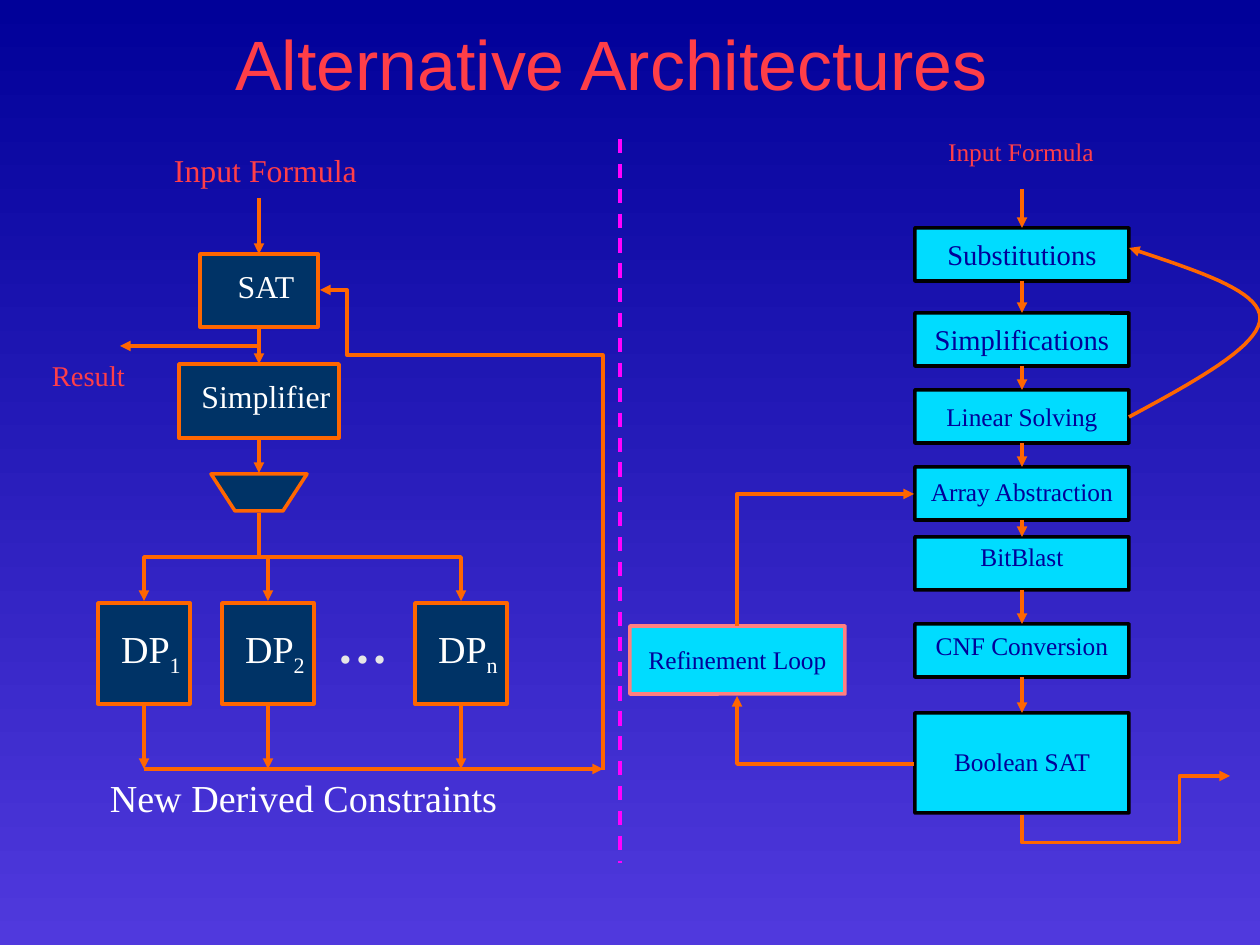
"""Build the Alternative Architectures slide: two solver pipelines side by side."""
from lxml import etree
from pptx import Presentation
from pptx.dml.color import RGBColor
from pptx.enum.dml import MSO_LINE
from pptx.enum.shapes import MSO_CONNECTOR, MSO_SHAPE
from pptx.enum.text import MSO_ANCHOR, PP_ALIGN
from pptx.oxml.ns import qn
from pptx.util import Pt

PX = 8000
LEFT, CENTER = PP_ALIGN.LEFT, PP_ALIGN.CENTER
MIDDLE, TOP = MSO_ANCHOR.MIDDLE, MSO_ANCHOR.TOP
STRAIGHT, ELBOW = MSO_CONNECTOR.STRAIGHT, MSO_CONNECTOR.ELBOW
RECTANGLE, ROUNDED = MSO_SHAPE.RECTANGLE, MSO_SHAPE.ROUNDED_RECTANGLE
SERIF = "Times New Roman"
ORANGE, RED, WHITE, BLACK = "FF6600", "FF3E48", "FFFFFF", "000000"
NAVY, CYAN, BLUE, PINK, MAGENTA = "003366", "00DCFF", "010199", "FF8080", "FF00FF"
rgb = RGBColor.from_string


def write(shape, text, size, color, font=SERIF, align=CENTER, anchor=MIDDLE,
          spacing=0.93, hanging=False, before=0, subscript=""):
    """Put one formatted paragraph into a shape."""
    frame = shape.text_frame
    frame.margin_left = frame.margin_right = 0
    frame.margin_top = frame.margin_bottom = 0
    frame.vertical_anchor = anchor
    para = frame.paragraphs[0]
    para.text = text
    para.alignment = align
    para.line_spacing = spacing
    para.space_before = Pt(before)
    if hanging:
        properties = para._p.get_or_add_pPr()
        properties.set("marL", str(54 * PX))
        properties.set("indent", str(-40 * PX))
    if subscript:
        span = para.add_run()
        span.text = subscript
        span.font._element.set("baseline", "-25000")
    for span in para.runs:
        span.font.name = font
        span.font.size = Pt(size)
        span.font.color.rgb = rgb(color)


def outline(shape, color, arrow=False):
    """Give a shape or connector its line and take its shadow away."""
    shape.line.color.rgb = rgb(color)
    shape.line.width = Pt(2.25)
    if arrow:
        etree.SubElement(shape.line._get_or_add_ln(), qn("a:tailEnd"), type="triangle")
    properties = shape._element.spPr
    if properties.find(qn("a:effectLst")) is None:
        etree.SubElement(properties, qn("a:effectLst"))


deck = Presentation()
deck.slide_width, deck.slide_height = 1260 * PX, 945 * PX
page = deck.slides.add_slide(deck.slide_layouts[6])
backdrop = page.background.fill
backdrop.gradient()
backdrop.gradient_angle = 270
for stop, color in zip(backdrop.gradient_stops, (BLUE, "5039DD")):
    stop.color.rgb = rgb(color)

title = page.shapes.add_textbox(87 * PX, 25 * PX, 1050 * PX, 76 * PX)
title.text_frame.word_wrap = True
write(title, "Alternative Architectures", 44, RED, font="Arial", spacing=1.0)
title_font = title.text_frame.paragraphs[0].runs[0].font._element
effects = etree.Element(qn("a:effectLst"))
title_font.find(qn("a:solidFill")).addnext(effects)
shadow = etree.SubElement(effects, qn("a:outerShdw"), dist="18000", dir="2700000")
etree.SubElement(shadow, qn("a:srgbClr"), val="808080")

labels = [
    (114, 162, 289, 25, "Input Formula", 20, RED, CENTER, 12.5),
    (38, 368, 109, 23, "Result", 18, RED, LEFT, 11.2),
    (323, 631, 77, 41, "…", 32, "E6E6E6", LEFT, 20),
    (82, 788, 429, 31, "New Derived Constraints", 24, WHITE, CENTER, 15),
]
for left, top, width, height, text, size, color, align, before in labels:
    box = page.shapes.add_textbox(left * PX, top * PX, width * PX, height * PX)
    box.text_frame.word_wrap = True
    write(box, text, size, color, align=align, anchor=TOP, spacing=0.67,
          hanging=True, before=before)
    box.text_frame.paragraphs[0].runs[0].font.bold = text == "…"

right_input = page.shapes.add_textbox(945 * PX, 139 * PX, 152 * PX, 29 * PX)
right_input.text_frame.word_wrap = True
write(right_input, "Input Formula", 16, RED, anchor=TOP)

left_boxes = [
    (200, 254, 118, 73, "SAT", 20, ""),
    (179, 364, 160, 74, "Simplifier", 20, ""),
    (98, 603, 92, 101, "DP", 24, "1"),
    (222, 603, 92, 101, "DP", 24, "2"),
    (415, 603, 92, 101, "DP", 24, "n"),
]
solvers = []
for left, top, width, height, text, size, subscript in left_boxes:
    box = page.shapes.add_shape(RECTANGLE, left * PX, top * PX, width * PX, height * PX)
    box.fill.solid()
    box.fill.fore_color.rgb = rgb(NAVY)
    outline(box, ORANGE)
    box.text_frame.word_wrap = False
    write(box, text, size, WHITE, spacing=0.67, hanging=True, subscript=subscript)
    solvers.append(box)
sat, simplifier, *procedures = solvers

builder = page.shapes.build_freeform(211, 474, scale=PX)
builder.add_line_segments([(307, 474), (283, 511), (235, 511)], close=True)
splitter = builder.convert_to_shape()
splitter.fill.solid()
splitter.fill.fore_color.rgb = rgb(NAVY)
outline(splitter, ORANGE)

right_boxes = [
    (915, 228, 214, 53, "Substitutions", 18, -1, BLACK),
    (915, 313, 214, 53, "Simplifications", 18, -1, BLACK),
    (915, 390, 214, 53, "Linear Solving", 16, -2, BLACK),
    (915, 467, 214, 53, "Array Abstraction", 16, 0, BLACK),
    (915, 537, 214, 53, "BitBlast", 16, 5, BLACK),
    (915, 624, 214, 53, "CNF Conversion", 16, 3, BLACK),
    (915, 713, 214, 100, "Boolean SAT", 16, 0, BLACK),
    (630, 626, 215, 68, "Refinement Loop", 16, -1, PINK),
]
stages = []
for left, top, width, height, text, size, lift, border in right_boxes:
    box = page.shapes.add_shape(ROUNDED, left * PX, top * PX, width * PX, height * PX)
    box.adjustments[0] = 0.004
    box.fill.solid()
    box.fill.fore_color.rgb = rgb(CYAN)
    outline(box, border)
    box.text_frame.word_wrap = False
    write(box, text, size, BLUE)
    box.text_frame.margin_top = max(0, -2 * lift) * PX
    box.text_frame.margin_bottom = max(0, 2 * lift) * PX
    stages.append(box)
pipeline = stages[:-1]

arrows = [
    (259, 198, 259, 254, None, sat),
    (259, 327, 259, 364, sat, simplifier),
    (259, 438, 259, 473, simplifier, None),
    (259, 346, 120, 346, None, None),
    (144, 769, 603, 769, None, None),
    (1022, 189, 1022, 228, None, pipeline[0]),
]
arrows += [(x, 704, x, 769, box, None) for x, box in zip((144, 268, 461), procedures)]
arrows += [(1022, 0, 1022, 0, upper, lower) for upper, lower in zip(pipeline, pipeline[1:])]
for x1, y1, x2, y2, upper, lower in arrows:
    arrow = page.shapes.add_connector(STRAIGHT, x1 * PX, y1 * PX, x2 * PX, y2 * PX)
    if upper:
        arrow.begin_connect(upper, 2)
    if lower:
        arrow.end_connect(lower, 0)
    outline(arrow, ORANGE, arrow=True)

elbows = [
    (259, 513, 144, 601, 90, "", 3, [50000]),
    (259, 513, 268, 601, 270, "H", 3, [50000]),
    (259, 513, 461, 601, 270, "H", 3, [50000]),
    (603, 770, 320, 290, 270, "V", 4, [86400, 90500]),
    (1022, 815, 1230, 776, 90, "HV", 4, [-71000, 75700]),
    (914, 764, 737, 696, 180, "", 2, []),
    (737, 626, 914, 494, 90, "HV", 2, []),
]
for x1, y1, x2, y2, turn, flips, bends, adjustments in elbows:
    width, height = abs(x2 - x1) * PX, abs(y2 - y1) * PX
    if turn != 180:
        width, height = height, width
    left = ((x1 + x2) * PX - width) // 2
    top = ((y1 + y2) * PX - height) // 2
    elbow = page.shapes.add_connector(ELBOW, left, top, left + width, top + height)
    properties = elbow._element.spPr
    frame = properties.find(qn("a:xfrm"))
    frame.set("rot", str(turn * 60000))
    for flip in flips:
        frame.set("flip" + flip, "1")
    geometry = properties.find(qn("a:prstGeom"))
    geometry.set("prst", f"bentConnector{bends}")
    guides = geometry.find(qn("a:avLst"))
    for number, value in enumerate(adjustments, 1):
        etree.SubElement(guides, qn("a:gd"), name=f"adj{number}", fmla=f"val {value}")
    outline(elbow, ORANGE, arrow=True)

curves = [
    ((1129, 417), (1194, 382), (1260, 346), (1260, 318)),
    ((1260, 318), (1260, 290), (1194, 270), (1129, 248)),
]
points = []
for a, b, c, d in curves:
    for step in range(1, 21):
        t = step / 20
        points.append([(1 - t) ** 3 * p + 3 * t * (1 - t) ** 2 * q + 3 * t * t * (1 - t) * r
                       + t ** 3 * s for p, q, r, s in zip(a, b, c, d)])
builder = page.shapes.build_freeform(1129 * PX, 417 * PX)
builder.add_line_segments([(round(x * PX), round(y * PX)) for x, y in points], close=False)
loop_back = builder.convert_to_shape()
loop_back.fill.background()
outline(loop_back, ORANGE, arrow=True)

divider = page.shapes.add_connector(STRAIGHT, 620 * PX, 139 * PX, 620 * PX, 863 * PX)
outline(divider, MAGENTA)
divider.line.dash_style = MSO_LINE.DASH

deck.save("out.pptx")
